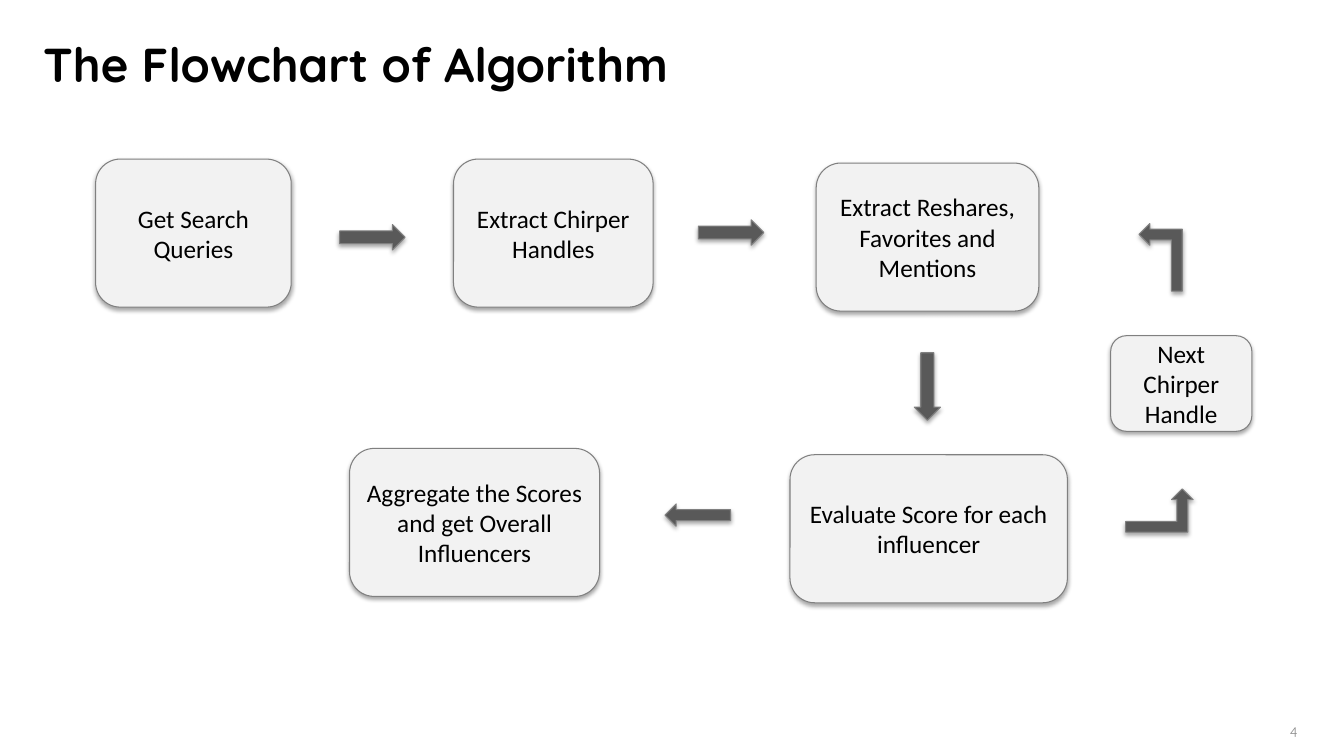
"""Build the slide with the flowchart of the influencer algorithm."""
import lxml.etree
import pptx
import pptx.dml.color
import pptx.enum.shapes
import pptx.enum.text
import pptx.oxml
import pptx.oxml.ns
import pptx.util

Cm = pptx.util.Cm
Pt = pptx.util.Pt
RGBColor = pptx.dml.color.RGBColor
SHAPE = pptx.enum.shapes.MSO_SHAPE
ALIGN = pptx.enum.text.PP_ALIGN
ANCHOR = pptx.enum.text.MSO_ANCHOR

BLACK = RGBColor(0x00, 0x00, 0x00)
PAGE_GRAY = RGBColor(0x8C, 0x8C, 0x8C)
STEP_FILL = RGBColor(0xF2, 0xF2, 0xF2)
ARROW_FILL = RGBColor(0x59, 0x59, 0x59)
OUTLINE = RGBColor(0x80, 0x80, 0x80)

STEP_HEIGHT = 3.73
STEPS = [
    ("Get Search Queries", 0, 0, 4.93, STEP_HEIGHT),
    ("Extract Chirper Handles", 9.02, 0, 5.03, STEP_HEIGHT),
    ("Extract Reshares, Favorites and Mentions", 18.16, 0.1, 5.61, STEP_HEIGHT),
    ("Evaluate Score for each influencer", 17.5, 7.45, 6.99, STEP_HEIGHT),
    ("Next Chirper Handle", 25.58, 4.45, 3.56, 2.41),
    ("Aggregate the Scores and get Overall Influencers", 6.4, 7.29, 6.3, STEP_HEIGHT),
]
ARROWS = [
    (SHAPE.RIGHT_ARROW, 6.15, 1.65, 1.65, 0.64, 0),
    (SHAPE.RIGHT_ARROW, 15.19, 1.53, 1.65, 0.64, 0),
    (SHAPE.DOWN_ARROW, 20.63, 4.88, 0.66, 1.7, 0),
    (SHAPE.LEFT_ARROW, 14.35, 8.69, 1.65, 0.56, 0),
    (SHAPE.BENT_UP_ARROW, 25.96, 8.31, 1.7, 1.09, 0),
    (SHAPE.BENT_UP_ARROW, 25.99, 1.93, 1.7, 1.09, 270),
]
SHADOW_XML = (
    f'<a:effectLst {pptx.oxml.ns.nsdecls("a")}>'
    f'<a:outerShdw blurRad="{Pt(3.1)}" dist="{Pt(1.8)}" dir="5400000" rotWithShape="0">'
    '<a:srgbClr val="000000"><a:alpha val="35000"/></a:srgbClr>'
    '</a:outerShdw></a:effectLst>'
)


def write(frame, text, font_name, size, color, bold=False):
    """Put one formatted paragraph into a text frame."""
    frame.word_wrap = True
    paragraph = frame.paragraphs[0]
    paragraph.text = text
    font = paragraph.runs[0].font
    font.name, font.size, font.bold = font_name, Pt(size), bold
    font.color.rgb = color
    return paragraph


def add_title(slide, left, top, width, height):
    """Add the heading in the given box."""
    heading = slide.shapes.add_textbox(Cm(left), Cm(top), Cm(width), Cm(height))
    write(heading.text_frame, "The Flowchart of Algorithm", "Quicksand", 34, BLACK, True)


def add_page_number(slide, left, top, width, height):
    """Add the page number in the given box."""
    number = slide.shapes.add_textbox(Cm(left), Cm(top), Cm(width), Cm(height))
    number.text_frame.vertical_anchor = ANCHOR.MIDDLE
    write(number.text_frame, "4", "Quicksand", 10, PAGE_GRAY)


def add_block(slide, kind, left, top, width, height, fill):
    """Add one outlined shape with a soft shadow below it."""
    block = slide.shapes.add_shape(kind, Cm(left), Cm(top), Cm(width), Cm(height))
    block.fill.solid()
    block.fill.fore_color.rgb = fill
    block.line.color.rgb = OUTLINE
    block.line.width = Pt(0.75)
    block.shadow.inherit = False
    properties = block.element.spPr
    empty_effects = properties.find(pptx.oxml.ns.qn("a:effectLst"))
    properties.replace(empty_effects, pptx.oxml.parse_xml(SHADOW_XML))
    return block


def add_flowchart(slide, left, top):
    """Place the steps and arrows relative to the top left corner of the chart."""
    for kind, x, y, width, height, rotation in ARROWS:
        arrow = add_block(slide, kind, left + x, top + y, width, height, ARROW_FILL)
        arrow.rotation = rotation
    for text, x, y, width, height in STEPS:
        step = add_block(slide, SHAPE.FLOWCHART_ALTERNATE_PROCESS,
                         left + x, top + y, width, height, STEP_FILL)
        step.text_frame.vertical_anchor = ANCHOR.MIDDLE
        label = write(step.text_frame, text, "Calibri", 18, BLACK)
        label.alignment = ALIGN.CENTER


def main():
    """Build and save the presentation."""
    presentation = pptx.Presentation()
    presentation.slide_width, presentation.slide_height = Cm(33.87), Cm(19.05)
    slide = presentation.slides.add_slide(presentation.slide_layouts[6])
    add_title(slide, 0.84, 0.76, 29.34, 3.18)
    add_flowchart(slide, 2.41, 4.01)
    add_page_number(slide, 32.26, 18.14, 1.37, 0.61)
    presentation.save("out.pptx")


if __name__ == "__main__":
    main()
